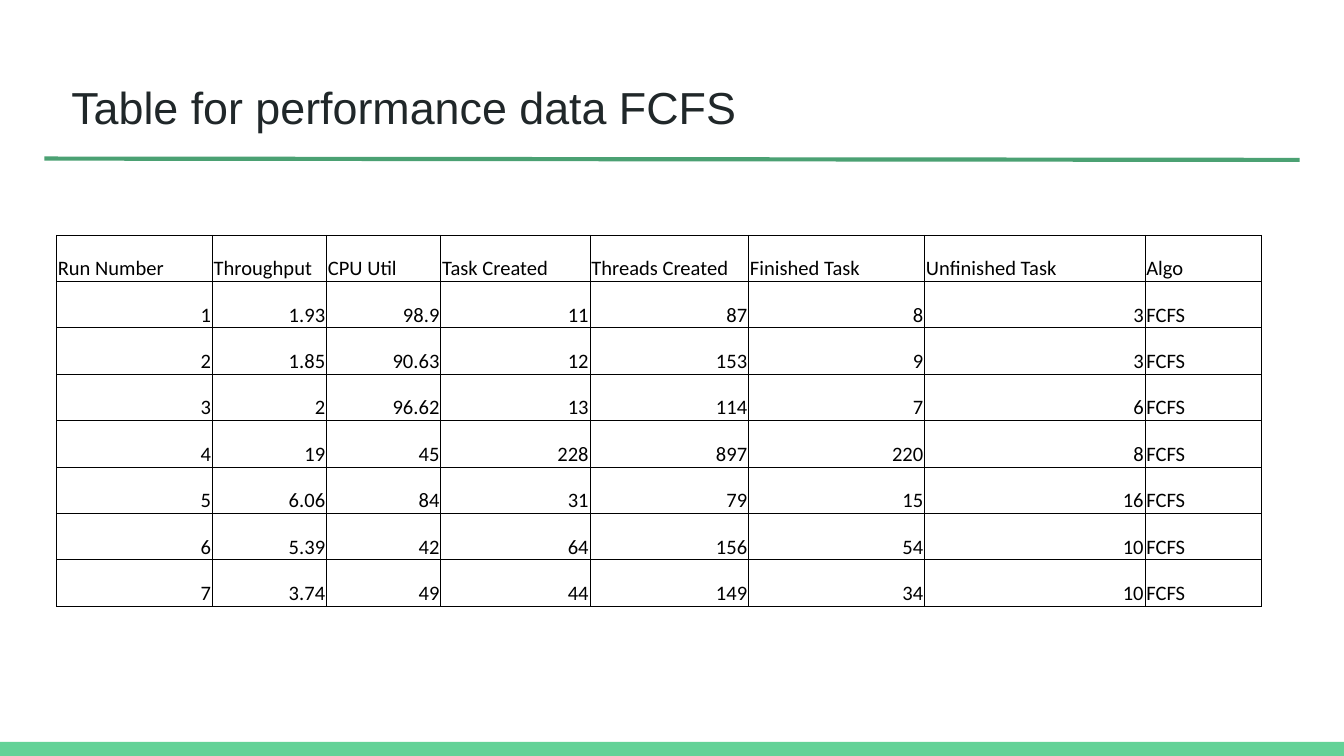
import pptx
import pptx.util
import pptx.dml.color
import pptx.enum.shapes
import pptx.enum.text
import pptx.oxml.ns
from lxml import etree

Inches = pptx.util.Inches
Pt = pptx.util.Pt
ALIGN = pptx.enum.text.PP_ALIGN
ANCHOR = pptx.enum.text.MSO_ANCHOR

COLORS = {
    "bar": "63D297",
    "rule": "4BA173",
    "title": "202729",
    "ink": "000000",
}
HEADERS = ["Run Number", "Throughput", "CPU Util", "Task Created",
           "Threads Created", "Finished Task", "Unfinished Task", "Algo"]
RUNS = [
    ["1.93", "98.9", "11", "87", "8", "3"],
    ["1.85", "90.63", "12", "153", "9", "3"],
    ["2", "96.62", "13", "114", "7", "6"],
    ["19", "45", "228", "897", "220", "8"],
    ["6.06", "84", "31", "79", "15", "16"],
    ["5.39", "42", "64", "156", "54", "10"],
    ["3.74", "49", "44", "149", "34", "10"],
]
COLUMN_WIDTHS = [1.16, 0.85, 0.85, 1.11, 1.18, 1.31, 1.64, 0.87]


def rgb(name):
    return pptx.dml.color.RGBColor.from_string(COLORS[name])


def write_text(tf, text, size, font, color, align=ALIGN.LEFT):
    p = tf.paragraphs[0]
    p.alignment = align
    r = p.add_run()
    r.text = text
    r.font.size = Pt(size)
    r.font.name = font
    r.font.color.rgb = rgb(color)


def set_borders(cell, color, width):
    tcPr = cell._tc.get_or_add_tcPr()
    qn = pptx.oxml.ns.qn
    for side in ("a:lnL", "a:lnR", "a:lnT", "a:lnB"):
        ln = etree.SubElement(tcPr, qn(side), w=str(Pt(width)))
        fill = etree.SubElement(ln, qn("a:solidFill"))
        etree.SubElement(fill, qn("a:srgbClr"), val=COLORS[color])


def add_footer_bar(s, left, top, width, height):
    bar = s.shapes.add_shape(
        pptx.enum.shapes.MSO_SHAPE.RECTANGLE,
        Inches(left), Inches(top), Inches(width), Inches(height))
    bar.shadow.inherit = False
    bar.fill.solid()
    bar.fill.fore_color.rgb = rgb("bar")
    bar.line.fill.background()


def add_title(s, text, left, top, width, height):
    title = s.shapes.add_textbox(
        Inches(left), Inches(top), Inches(width), Inches(height))
    tf = title.text_frame
    tf.word_wrap = True
    tf.vertical_anchor = ANCHOR.TOP
    tf.margin_left = Inches(0.19)
    tf.margin_right = tf.margin_top = tf.margin_bottom = Inches(0.1)
    write_text(tf, text, size=24, font="Arial", color="title")

    rule_top = top + height + 0.06
    rule = s.shapes.add_connector(
        pptx.enum.shapes.MSO_CONNECTOR.STRAIGHT,
        Inches(left - 0.01), Inches(rule_top),
        Inches(left + width + 0.01), Inches(rule_top + 0.01))
    rule.line.color.rgb = rgb("rule")
    rule.line.width = Pt(2.25)
    etree.SubElement(rule._element.spPr, pptx.oxml.ns.qn("a:effectLst"))


def add_run_table(s, left, top, width, height):
    rows = [HEADERS] + [[str(n), *run, "FCFS"] for n, run in enumerate(RUNS, 1)]
    table = s.shapes.add_table(
        len(rows), len(HEADERS),
        Inches(left), Inches(top), Inches(width), Inches(height)).table
    table.first_row = False
    table.horz_banding = False
    for column, share in zip(table.columns, COLUMN_WIDTHS):
        column.width = Inches(width * share / sum(COLUMN_WIDTHS))
    for i, row in enumerate(rows):
        table.rows[i].height = Inches(height / len(rows))
        for j, text in enumerate(row):
            cell = table.cell(i, j)
            cell.vertical_anchor = ANCHOR.BOTTOM
            cell.margin_left = cell.margin_right = cell.margin_top = Inches(0.01)
            cell.margin_bottom = 0
            set_borders(cell, "ink", 0.5)
            cell.fill.background()
            is_number = i > 0 and j < len(HEADERS) - 1
            write_text(cell.text_frame, text, size=11, font="Calibri", color="ink",
                       align=ALIGN.RIGHT if is_number else ALIGN.LEFT)


def main():
    prs = pptx.Presentation()
    prs.slide_width = Inches(10)
    prs.slide_height = prs.slide_width * 9 // 16
    s = prs.slides.add_slide(prs.slide_layouts[6])
    add_footer_bar(s, 0, 5.52, 10, 0.11)
    add_title(s, "Table for performance data FCFS", 0.34, 0.49, 9.32, 0.63)
    add_run_table(s, 0.42, 1.75, 8.97, 2.76)
    prs.save("out.pptx")


if __name__ == "__main__":
    main()
